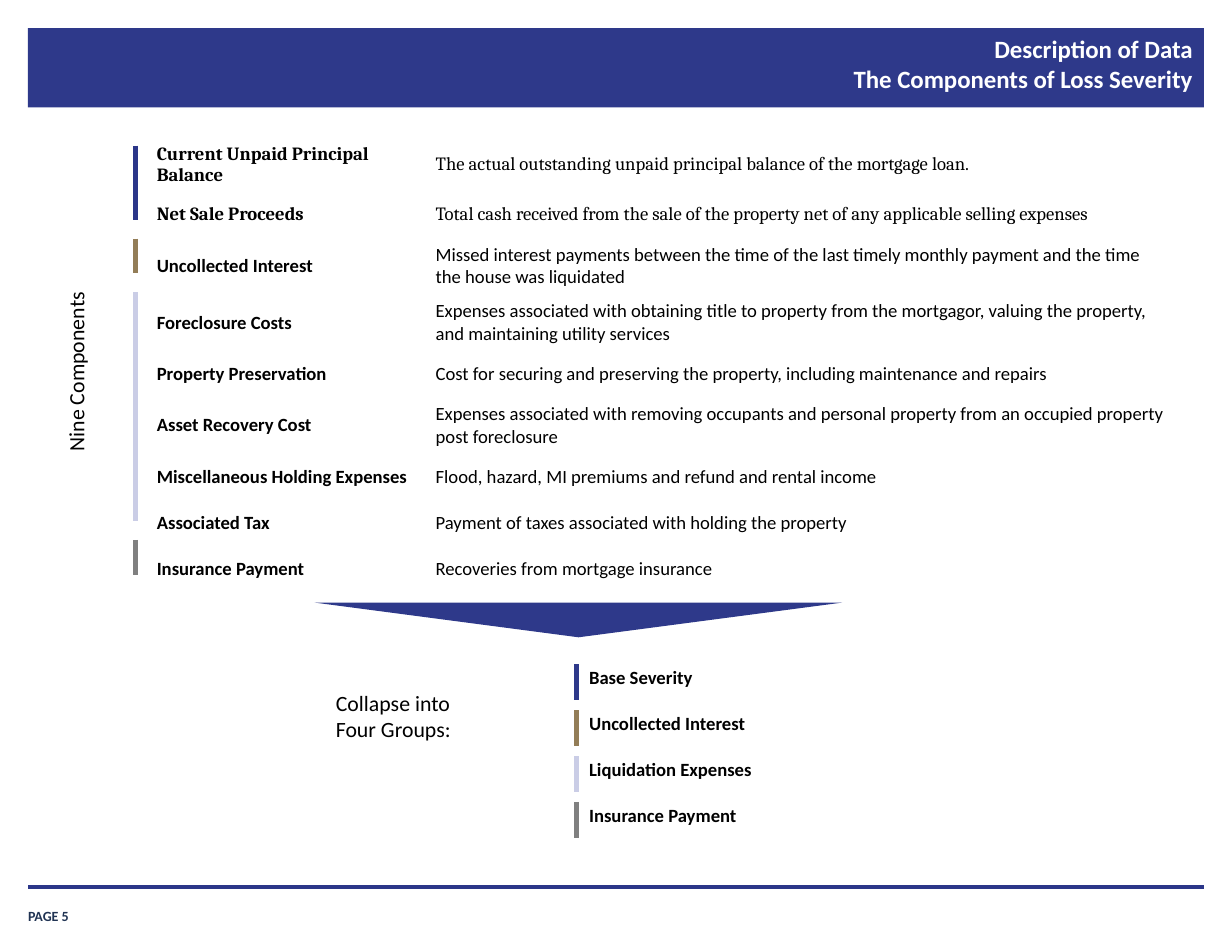
"""Build the slide on the components of loss severity."""
import copy
import dataclasses
import typing

import lxml.etree
import pptx
import pptx.dml.color
import pptx.enum.shapes
import pptx.enum.text
import pptx.oxml
import pptx.oxml.ns
import pptx.util

Inches = pptx.util.Inches
Align = pptx.enum.text.PP_ALIGN
Anchor = pptx.enum.text.MSO_ANCHOR
Shapes = pptx.enum.shapes.MSO_SHAPE


@dataclasses.dataclass(frozen=True)
class Theme:
    """Colours, fonts and type sizes."""
    band: str = "2E398A"
    navy: str = "2B3689"
    tan: str = "937D57"
    lilac: str = "CACDE6"
    gray: str = "808080"
    page: str = "203353"
    black: str = "000000"
    white: str = "FFFFFF"
    sans: str = "Calibri"
    serif: str = "Cambria"
    title_size: int = 16
    label_size: int = 14
    table_size: int = 12
    page_size: int = 9


class Component(typing.NamedTuple):
    """A loss component and its definition."""
    name: str
    definition: str
    font: str


class Bar(typing.NamedTuple):
    """A vertical colour key beside table rows."""
    left: float
    top: float
    bottom: float
    color: str


THEME = Theme()
ROW_HEIGHT = 0.41
COMPONENTS = [
    Component("Current Unpaid Principal Balance",
              "The actual outstanding unpaid principal balance of the mortgage loan.", THEME.serif),
    Component("Net Sale Proceeds",
              "Total cash received from the sale of the property net of any applicable selling expenses",
              THEME.serif),
    Component("Uncollected Interest",
              "Missed interest payments between the time of the last timely monthly payment "
              "and the time the house was liquidated", THEME.sans),
    Component("Foreclosure Costs",
              "Expenses associated with obtaining title to property from the mortgagor, "
              "valuing the property, and maintaining utility services", THEME.sans),
    Component("Property Preservation",
              "Cost for securing and preserving the property, including maintenance and repairs",
              THEME.sans),
    Component("Asset Recovery Cost",
              "Expenses associated with removing occupants and personal property "
              "from an occupied property post foreclosure", THEME.sans),
    Component("Miscellaneous Holding Expenses",
              "Flood, hazard, MI premiums and refund and rental income", THEME.sans),
    Component("Associated Tax", "Payment of taxes associated with holding the property", THEME.sans),
    Component("Insurance Payment", "Recoveries from mortgage insurance", THEME.sans),
]
GROUPS = {
    "Base Severity": THEME.band,
    "Uncollected Interest": THEME.tan,
    "Liquidation Expenses": THEME.lilac,
    "Insurance Payment": THEME.gray,
}
COMPONENT_BARS = [
    Bar(1.21, 1.3, 1.96, THEME.navy),
    Bar(1.21, 2.13, 2.44, THEME.tan),
    Bar(1.21, 2.61, 4.65, THEME.lilac),
    Bar(1.21, 4.82, 5.13, THEME.gray),
]
GROUP_BARS = [
    Bar(5.15, 5.93 + index * ROW_HEIGHT, 6.25 + index * ROW_HEIGHT, color)
    for index, color in enumerate(GROUPS.values())
]


def rgb(color: str) -> pptx.dml.color.RGBColor:
    """Turn a hex string into a colour."""
    return pptx.dml.color.RGBColor.from_string(color)


def apply(target: typing.Any, values: dict[str, typing.Any]) -> None:
    """Set attributes from a dict of format values."""
    for name, value in values.items():
        setattr(target, name, value)


def write(frame: typing.Any, text: str, size: int, color: str = THEME.black,
          font: str = THEME.sans, bold: bool = False, align: Align = Align.LEFT) -> None:
    """Write one formatted paragraph into a text frame."""
    frame.text = text
    paragraph = frame.paragraphs[0]
    paragraph.alignment = align
    for run in paragraph.runs:
        apply(run.font, {"size": pptx.util.Pt(size), "name": font, "bold": bold})
        run.font.color.rgb = rgb(color)
    for line_break in paragraph._p.findall(pptx.oxml.ns.qn("a:br")):
        line_break.insert(0, copy.deepcopy(paragraph.runs[0]._r.rPr))


def add_label(slide: typing.Any, box: tuple, text: str, size: int, **style: typing.Any) -> typing.Any:
    """Add a wrapping text box and return it."""
    shape = slide.shapes.add_textbox(*map(Inches, box))
    shape.text_frame.word_wrap = True
    write(shape.text_frame, text, size, **style)
    return shape


def add_block(slide: typing.Any, preset: Shapes, box: tuple, rotation: int = 0) -> None:
    """Add a plain filled shape."""
    shape = slide.shapes.add_shape(preset, *map(Inches, box))
    shape.rotation = rotation
    shape.shadow.inherit = False
    shape.fill.solid()
    shape.fill.fore_color.rgb = rgb(THEME.band)
    shape.line.fill.background()


def add_line(slide: typing.Any, ends: tuple, color: str, width: int) -> None:
    """Add a straight line without a shadow."""
    line = slide.shapes.add_connector(pptx.enum.shapes.MSO_CONNECTOR.STRAIGHT, *map(Inches, ends))
    line.line.color.rgb = rgb(color)
    line.line.width = pptx.util.Pt(width)
    lxml.etree.SubElement(line._element.spPr, pptx.oxml.ns.qn("a:effectLst"))


def format_cell(cell: typing.Any) -> None:
    """Give a cell white borders, white fill and middle anchoring."""
    properties = cell._tc.get_or_add_tcPr()
    for side in ("lnL", "lnR", "lnT", "lnB"):
        properties.append(pptx.oxml.parse_xml(
            f'<a:{side} {pptx.oxml.ns.nsdecls("a")} w="12700"><a:solidFill>'
            f'<a:srgbClr val="{THEME.white}"/></a:solidFill></a:{side}>'))
    cell.fill.solid()
    cell.fill.fore_color.rgb = rgb(THEME.white)
    cell.vertical_anchor = Anchor.MIDDLE


def add_table(slide: typing.Any, left: float, top: float, widths: list[float],
              rows: list[tuple[str, list[str]]]) -> None:
    """Add a plain table of font and text rows with a bold first column."""
    table = slide.shapes.add_table(len(rows), len(widths), Inches(left), Inches(top),
                                   Inches(sum(widths)), Inches(ROW_HEIGHT * len(rows))).table
    apply(table, {"first_row": False, "horz_banding": False})
    for column, width in zip(table.columns, widths):
        column.width = Inches(width)
    for row, (font, texts) in zip(table.rows, rows):
        row.height = Inches(ROW_HEIGHT)
        for index, (cell, text) in enumerate(zip(row.cells, texts)):
            format_cell(cell)
            write(cell.text_frame, text, THEME.table_size, font=font, bold=index == 0)


def add_title(slide: typing.Any) -> None:
    """Place the title placeholder in front of the band."""
    title = slide.shapes.title
    apply(title, {"left": Inches(3.32), "top": Inches(0.24),
                  "width": Inches(7.44), "height": Inches(0.74)})
    frame = title.text_frame
    apply(frame, {"margin_left": Inches(0.11), "margin_right": Inches(0.11),
                  "margin_top": Inches(0.06), "margin_bottom": Inches(0.06),
                  "vertical_anchor": Anchor.TOP, "word_wrap": True,
                  "auto_size": pptx.enum.text.MSO_AUTO_SIZE.NONE})
    write(frame, "Description of Data\vThe Components of Loss Severity", THEME.title_size,
          color=THEME.white, bold=True, align=Align.RIGHT)
    slide.shapes._spTree.append(title._element)


def main() -> None:
    """Build and save the presentation."""
    presentation = pptx.Presentation()
    apply(presentation, {"slide_width": Inches(11), "slide_height": Inches(8.5)})
    slide = presentation.slides.add_slide(presentation.slide_layouts[5])
    add_block(slide, Shapes.RECTANGLE, (0.25, 0.25, 10.5, 0.71))
    page = add_label(slide, (0.25, 8.02, 0.91, 0.23), "PAGE 5", THEME.page_size,
                     color=THEME.page, bold=True)
    apply(page.text_frame, {"margin_left": 0, "margin_right": 0, "margin_top": 0,
                            "margin_bottom": 0, "vertical_anchor": Anchor.BOTTOM})
    add_line(slide, (0.25, 7.92, 10.75, 7.92), THEME.navy, 2)
    add_title(slide)
    add_table(slide, 1.3, 1.23, [2.49, 6.76],
              [(item.font, [item.name, item.definition]) for item in COMPONENTS])
    add_table(slide, 5.16, 5.85, [2.49], [(THEME.sans, [name]) for name in GROUPS])
    add_block(slide, Shapes.ISOSCELES_TRIANGLE, (2.81, 5.38, 4.71, 0.31), rotation=180)
    add_label(slide, (2.9, 6.11, 1.39, 0.57), "Collapse into Four Groups:", THEME.label_size)
    side = add_label(slide, (0.51, 2.28, 0.44, 1.85), "Nine Components", THEME.label_size,
                     align=Align.CENTER)
    side.rotation = 180
    side.text_frame._txBody.bodyPr.set("vert", "eaVert")
    for bar in COMPONENT_BARS + GROUP_BARS:
        add_line(slide, (bar.left, bar.top, bar.left, bar.bottom), bar.color, 3)
    presentation.save("out.pptx")


if __name__ == "__main__":
    main()
